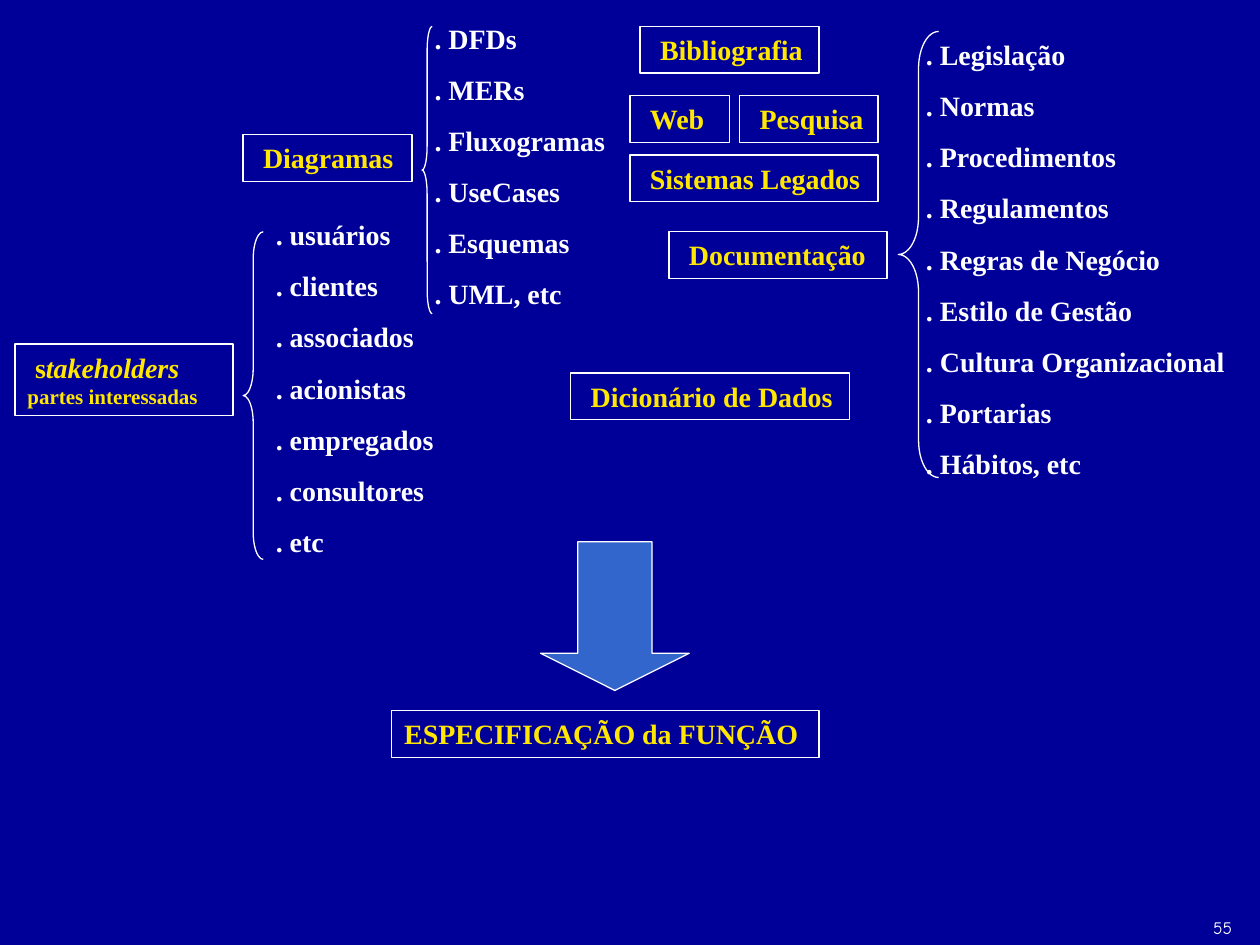
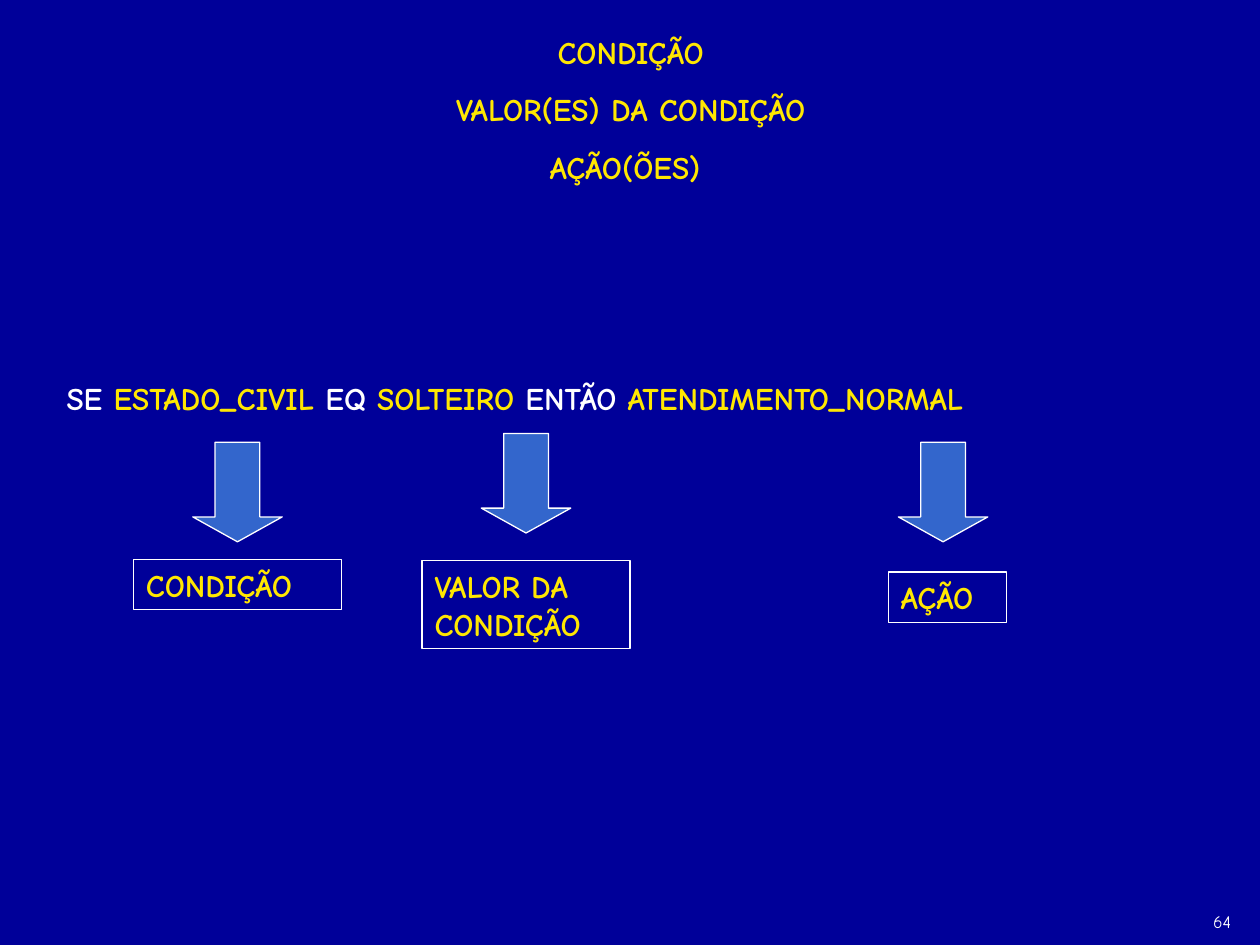
from pptx import Presentation
from pptx.dml.color import RGBColor
from pptx.enum.shapes import MSO_SHAPE
from pptx.enum.text import MSO_ANCHOR, MSO_AUTO_SIZE, PP_ALIGN
from pptx.util import Inches, Pt

COLORS = {"back": "000099", "text": "FFFFFF", "key": "FFE701", "arrow": "3366CC"}
SERIF, COMIC = "Times New Roman", "Comic Neue"
TAG_H = 0.37


def rgb(name):
    """Return the named palette colour."""
    return RGBColor.from_string(COLORS[name])


def style(font, face, size, color, bold=True):
    """Set face, size, colour and weight of a font."""
    font.name, font.size, font.bold = face, Pt(size), bold
    font.color.rgb = rgb(color)


def write(tf, lines, face, size, color, before=0, align=None, bold=True):
    """Fill a text frame with one paragraph per line."""
    tf.word_wrap = True
    tf.auto_size = MSO_AUTO_SIZE.NONE
    tf.vertical_anchor = MSO_ANCHOR.TOP
    for i, line in enumerate(lines):
        p = tf.paragraphs[0] if i == 0 else tf.add_paragraph()
        p.text = line
        p.space_before = Pt(before)
        p.alignment = align or PP_ALIGN.LEFT
        style(p.font, face, size, color, bold)


def add_text(s, x, y, w, h, lines, *args, **kwargs):
    """Add a text box and return its frame."""
    tf = s.shapes.add_textbox(Inches(x), Inches(y), Inches(w), Inches(h)).text_frame
    write(tf, lines, *args, **kwargs)
    return tf


def outlined(s, kind, x, y, w, h, fill=None):
    """Add a preset shape with a thin white line and an optional fill."""
    sp = s.shapes.add_shape(kind, Inches(x), Inches(y), Inches(w), Inches(h))
    sp.shadow.inherit = False
    sp.line.color.rgb = rgb("text")
    sp.line.width = Pt(0.75)
    if fill:
        sp.fill.solid()
        sp.fill.fore_color.rgb = rgb(fill)
    else:
        sp.fill.background()
    return sp


def tag(s, x, y, w, text, h=TAG_H, indent=0.06):
    """Add a framed serif label whose first line is indented."""
    sp = outlined(s, MSO_SHAPE.RECTANGLE, x, y, w, h)
    write(sp.text_frame, [text], SERIF, 16, "key", 10)
    p = sp.text_frame.paragraphs[0]
    p._p.get_or_add_pPr().set("indent", str(Inches(indent)))
    return p


def down_arrow(s, x, y, w, h):
    """Add a blue down arrow whose head takes a quarter of its height."""
    sp = outlined(s, MSO_SHAPE.DOWN_ARROW, x, y, w, h, "arrow")
    sp.adjustments[1] = h / 4 / w


def branch(s, x, y, items, list_box, brace_box):
    """Add a list and its brace, both offset from the branch corner."""
    dx, w, h = list_box
    add_text(s, x + dx, y, w, h, [f". {item}" for item in items], SERIF, 16, "text", 10)
    dx, dy, w, h = brace_box
    sp = outlined(s, MSO_SHAPE.LEFT_BRACE, x + dx, y + dy, w, h)
    sp.adjustments[0] = h / 12 / w


def documentation(s, x, y):
    """Add the documentation branch."""
    tag(s, x, y + 1.59, 1.73, "Documentação")
    items = ["Legislação", "Normas", "Procedimentos", "Regulamentos", "Regras de Negócio",
             "Estilo de Gestão", "Cultura Organizacional", "Portarias", "Hábitos, etc"]
    branch(s, x, y, items, (1.94, 2.72, 3.61), (1.82, 0, 0.32, 3.54))


def diagrams(s, x, y):
    """Add the diagrams branch."""
    tag(s, x, y + 0.95, 1.34, "Diagramas")
    items = ["DFDs", "MERs", "Fluxogramas", "UseCases", "Esquemas", "UML, etc"]
    branch(s, x, y, items, (1.42, 1.65, 2.4), (1.42, 0.09, 0.08, 2.28))


def stakeholders(s, x, y):
    """Add the stakeholders branch with its two-size label."""
    p = tag(s, x, y + 1.05, 1.73, "s", h=0.57)
    r = p.add_run()
    r.text, r.font.italic = "takeholders ", True
    r = p.add_run()
    r.text, r.font.size = "partes interessadas", Pt(12)
    items = ["usuários", "clientes", "associados", "acionistas", "empregados",
             "consultores", "etc"]
    branch(s, x, y, items, (1.97, 1.65, 2.8), (1.81, 0.16, 0.16, 2.6))


def research(s, x, y):
    """Add the cluster of research sources."""
    tag(s, x + 0.87, y + 0.55, 1.1, "Pesquisa")
    tag(s, x + 0.08, y, 1.42, "Bibliografia")
    tag(s, x, y + 1.02, 1.97, "Sistemas Legados")
    tag(s, x, y + 0.55, 0.79, "Web")


def page_number(s, number, y):
    """Add the page number at the lower right."""
    add_text(s, 9.53, y, 0.47, 0.27, [number], COMIC, 10, "text", bold=False)


def sources_slide(prs):
    """Build the slide of sources that lead to the specification."""
    s = prs.slides.add_slide(prs.slide_layouts[6])
    tag(s, 4.53, 2.96, 2.21, "Dicionário de Dados")
    tag(s, 3.11, 5.64, 3.39, "ESPECIFICAÇÃO da FUNÇÃO", indent=0)
    documentation(s, 5.31, 0.25)
    down_arrow(s, 4.29, 4.3, 1.18, 1.18)
    diagrams(s, 1.93, 0.12)
    research(s, 5, 0.21)
    stakeholders(s, 0.12, 1.68)
    page_number(s, "55", 7.23)


def rule_part(s, x, y, dx, dy, w, h, label):
    """Add an arrow and the framed label below it."""
    sp = outlined(s, MSO_SHAPE.RECTANGLE, x + dx, y + dy, w, h)
    write(sp.text_frame, [label], COMIC, 18, "key", 11.2)
    down_arrow(s, x, y, 0.71, 0.79)


def rule_sentence(s, x, y, w, h):
    """Add the rule, with keywords in white and terms in yellow."""
    tf = add_text(s, x, y, w, h, [""], COMIC, 18, "text", 11.2)
    p = tf.paragraphs[0]
    for i, part in enumerate(["SE", " ESTADO_CIVIL ", "EQ", " SOLTEIRO ", "ENTÃO",
                              " ATENDIMENTO_NORMAL"]):
        r = p.add_run()
        r.text = part
        r.font.color.rgb = rgb("key" if i % 2 else "text")


def rule_slide(prs):
    """Build the slide that takes a decision rule apart."""
    s = prs.slides.add_slide(prs.slide_layouts[5])
    title = s.shapes.title
    title.left, title.top = Inches(2.72), Inches(0.21)
    title.width, title.height = Inches(4.57), Inches(1.32)
    write(title.text_frame, ["CONDIÇÃO", "VALOR(ES) DA CONDIÇÃO", "AÇÃO(ÕES) "],
          COMIC, 18, "key", 11.2, PP_ALIGN.CENTER)
    rule_sentence(s, 0.43, 2.96, 9.1, 0.4)
    for part in [(1.53, 3.51, -0.47, 0.93, 1.65, 0.4, "CONDIÇÃO"),
                 (3.82, 3.44, -0.47, 1.01, 1.65, 0.7, "VALOR DA CONDIÇÃO"),
                 (7.13, 3.51, -0.08, 1.03, 0.94, 0.4, "AÇÃO")]:
        rule_part(s, *part)
    page_number(s, "64", 7.18)


def main():
    """Build and save the presentation."""
    prs = Presentation()
    prs.slide_width, prs.slide_height = Inches(10), Inches(7.5)
    fill = prs.slide_master.background.fill
    fill.solid()
    fill.fore_color.rgb = rgb("back")
    sources_slide(prs)
    rule_slide(prs)
    prs.save("out.pptx")


if __name__ == "__main__":
    main()
